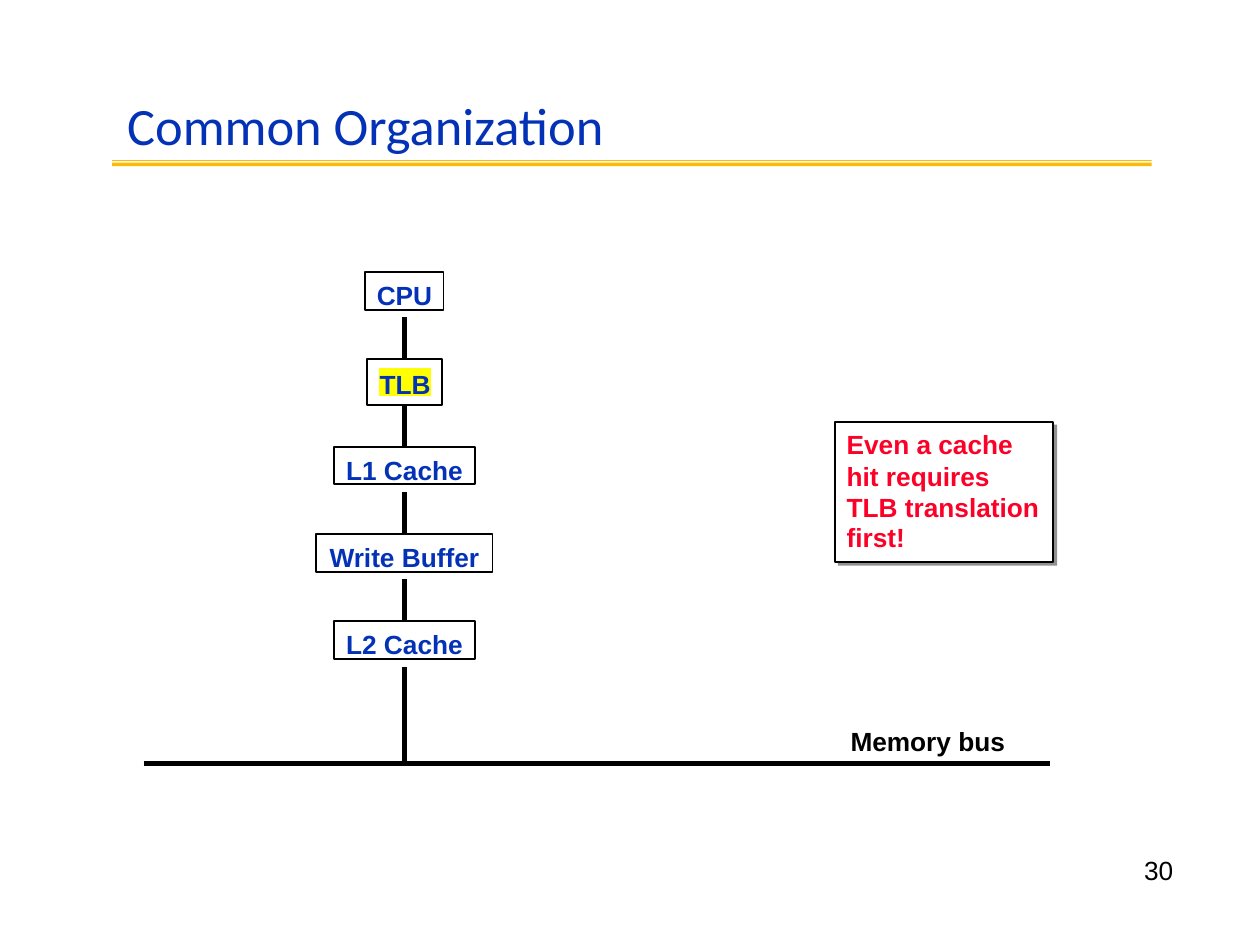
import pptx
import pptx.dml.color
import pptx.enum.shapes
import pptx.enum.text
import pptx.oxml.ns
import pptx.util
from lxml import etree

Inches = pptx.util.Inches
Pt = pptx.util.Pt
RGBColor = pptx.dml.color.RGBColor
ALIGN = pptx.enum.text.PP_ALIGN

BLUE = RGBColor(0x03, 0x32, 0xB7)
GOLD = RGBColor(0xFB, 0xBA, 0x03)
YELLOW = RGBColor(0xFF, 0xFF, 0x00)
RED = RGBColor(0xFC, 0x01, 0x28)
GRAY = RGBColor(0x91, 0x91, 0x91)
BLACK = RGBColor(0x00, 0x00, 0x00)
WHITE = RGBColor(0xFF, 0xFF, 0xFF)

LABEL = {"name": "Arial", "size": Pt(15), "bold": True}
HEADING = {"name": "Calibri", "size": Pt(30), "bold": False}
NUMBER = {**LABEL, "bold": False}


def write(shape, text, font_values, color, top=0.0, left=0.0, align=ALIGN.LEFT, spacing=None):
    frame = shape.text_frame
    frame_values = {
        "word_wrap": True,
        "vertical_anchor": pptx.enum.text.MSO_ANCHOR.TOP,
        "margin_left": Inches(left),
        "margin_top": Inches(top),
        "margin_right": 0,
        "margin_bottom": 0,
    }
    for key, value in frame_values.items():
        setattr(frame, key, value)
    paragraph = frame.paragraphs[0]
    paragraph.alignment = align
    if spacing:
        paragraph.line_spacing = spacing
    run = paragraph.add_run()
    run.text = text
    for key, value in font_values.items():
        setattr(run.font, key, value)
    run.font.color.rgb = color


def add_text(slide, box, text, font_values, color, **layout):
    label = slide.shapes.add_textbox(*map(Inches, box))
    write(label, text, font_values, color, **layout)


def add_block(slide, box, fill=None, outline=None):
    block = slide.shapes.add_shape(
        pptx.enum.shapes.MSO_SHAPE.RECTANGLE, *map(Inches, box))
    block.shadow.inherit = False
    if fill is None:
        block.fill.background()
    else:
        block.fill.solid()
        block.fill.fore_color.rgb = fill
    if outline is None:
        block.line.fill.background()
    else:
        block.line.color.rgb = outline
        block.line.width = Pt(1.06)
    return block


def add_wire(slide, x1, y1, x2, y2):
    wire = slide.shapes.add_connector(
        pptx.enum.shapes.MSO_CONNECTOR.STRAIGHT, *map(Inches, (x1, y1, x2, y2)))
    wire.line.color.rgb = BLACK
    wire.line.width = Pt(2.39)
    properties = wire._element.find(pptx.oxml.ns.qn("p:spPr"))
    etree.SubElement(properties, pptx.oxml.ns.qn("a:effectLst"))


def add_header(slide, left, top, width, height):
    add_text(slide, (left + 0.11, top, 5.67, 0.52), "Common Organization",
             HEADING, BLUE, top=0.02, left=0.01)
    bottom = top + height
    for offset, thickness in ((0.05, 0.01), (0.03, 0.03)):
        add_block(slide, (left, bottom - offset, width, thickness), fill=GOLD)


def add_hierarchy(slide, left, top, width, height):
    center = left + width / 2
    bus = top + height
    levels = (("CPU", 0.62), ("TLB", 0.6), ("L1 Cache", 1.12),
              ("Write Buffer", 1.4), ("L2 Cache", 1.12))
    pitch = 2.77 / (len(levels) - 1)
    tops = [top + pitch * index for index in range(len(levels))]
    for level_top, next_top in zip(tops, tops[1:] + [bus]):
        add_wire(slide, center, level_top + 0.36, center, next_top)
    for (name, level_width), level_top in zip(levels, tops):
        level_left = center - level_width / 2
        if name == "TLB":
            add_block(slide, (level_left, level_top, level_width, 0.36), outline=BLACK)
            highlight = add_block(
                slide, (level_left + 0.1, level_top + 0.07, 0.41, 0.22), fill=YELLOW)
            write(highlight, name, LABEL, BLUE, align=ALIGN.CENTER)
        else:
            level = add_block(
                slide, (level_left, level_top, level_width, 0.3), outline=BLACK)
            write(level, name, LABEL, BLUE, top=0.06, align=ALIGN.CENTER)


def add_memory_bus(slide, left, top, width, height):
    add_wire(slide, left, top + height, left + width, top + height)
    add_text(slide, (left + 5.6, top, 1.25, 0.26), "Memory bus",
             LABEL, BLACK, top=0.02, left=0.01)


def add_callout(slide, left, top, width, height):
    add_block(slide, (left + 0.02, top + 0.02, width + 0.01, height + 0.01), fill=GRAY)
    add_block(slide, (left, top, width, height), fill=WHITE, outline=BLACK)
    lines = (
        ("Even a cache", 0.03, 1.34, 0.26, 0.02, None),
        ("hit requires TLB translation", 0.28, 1.55, 0.53, 0.03, Pt(17.6)),
        ("first!", 0.77, 0.49, 0.26, 0.02, None),
    )
    for text, offset, text_width, text_height, margin, spacing in lines:
        add_text(slide, (left + 0.08, top + offset, text_width, text_height), text,
                 LABEL, RED, top=margin, left=0.01, spacing=spacing)


def add_page_number(slide, left, top, width, height):
    add_text(slide, (left, top, width, height), "30", NUMBER, BLACK,
             left=0.04, spacing=Pt(17.5))


def main():
    deck = pptx.Presentation()
    deck.slide_width = Inches(10)
    deck.slide_height = Inches(7.5)
    slide = deck.slides.add_slide(deck.slide_layouts[6])
    add_header(slide, 0.89, 0.72, 8.25, 0.6)
    add_hierarchy(slide, 2.51, 2.16, 1.4, 3.9)
    add_memory_bus(slide, 1.14, 5.74, 7.19, 0.32)
    add_callout(slide, 6.63, 3.35, 1.73, 1.11)
    add_page_number(slide, 9.04, 6.79, 0.4, 0.24)
    deck.save("out.pptx")


if __name__ == "__main__":
    main()
